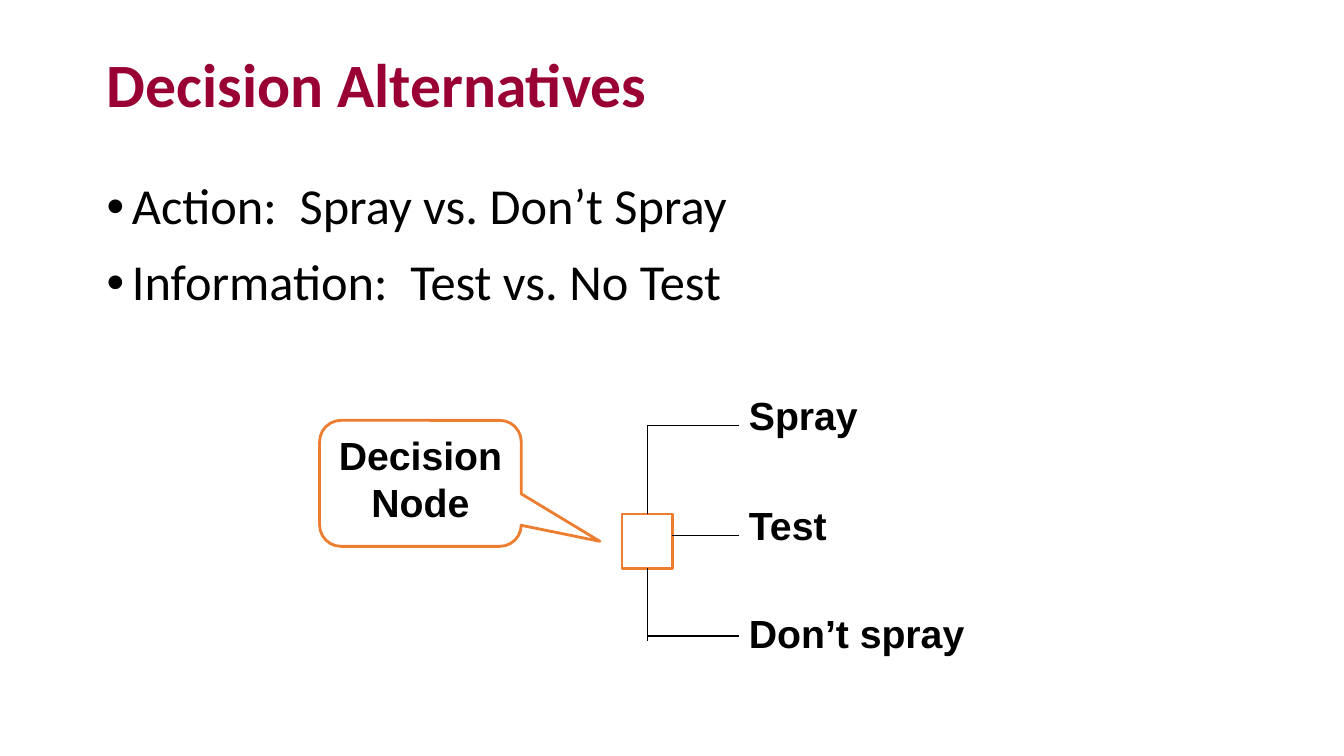
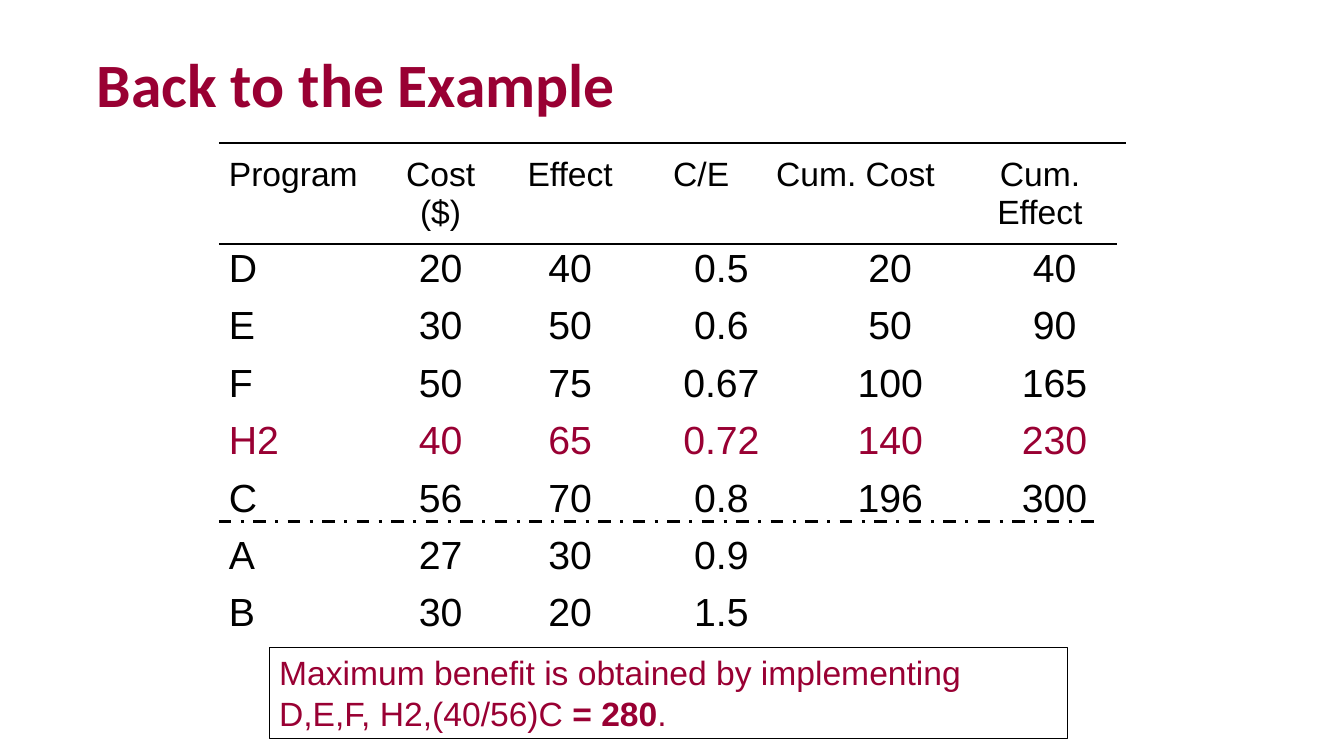
from dataclasses import dataclass

from lxml import etree
from pptx import Presentation
from pptx import util as u
from pptx.dml.color import RGBColor
from pptx.enum import dml, shapes, text
from pptx.oxml import ns

PX = 9144
PLAIN_TABLE = "{2D5ABB26-0587-4C30-8999-92F81FD0307C}"


@dataclass(frozen=True)
class Theme:
    accent: RGBColor = RGBColor(0x99, 0x00, 0x33)
    ink: RGBColor = RGBColor(0, 0, 0)
    paper: RGBColor = RGBColor(255, 255, 255)
    node: RGBColor = RGBColor(0xED, 0x7D, 0x31)
    heading_font: str = "Calibri"
    figure_font: str = "Arial"
    title: int = 44
    body: int = 36
    label: int = 28
    note: int = 24


THEME = Theme()
LEFT, CENTER = text.PP_ALIGN.LEFT, text.PP_ALIGN.CENTER


def px(*lengths):
    return [u.Emu(length * PX) for length in lengths]


def style(para, size, color=THEME.ink, name=THEME.figure_font, bold=False, align=LEFT):
    para.alignment = align
    para.font.size = u.Pt(size)
    para.font.name = name
    para.font.bold = bold
    para.font.color.rgb = color


def add_title(page, wording, box):
    title = page.shapes.title
    title.left, title.top, title.width, title.height = px(*box)
    frame = title.text_frame
    frame.text = wording
    frame.auto_size = text.MSO_AUTO_SIZE.NONE
    frame.vertical_anchor = text.MSO_ANCHOR.MIDDLE
    para = frame.paragraphs[0]
    para.line_spacing = 0.9
    style(para, THEME.title, THEME.accent, THEME.heading_font, bold=True)


def add_line(page, start, end, weight=1, dash=None):
    line = page.shapes.add_connector(shapes.MSO_CONNECTOR.STRAIGHT, *px(*start, *end))
    line.line.color.rgb = THEME.ink
    line.line.width = u.Pt(weight)
    if dash:
        line.line.dash_style = dash
    etree.SubElement(line._element.spPr, ns.qn("a:effectLst"))
    return line


def add_outline(page, kind, box, color, weight):
    shape = page.shapes.add_shape(kind, *px(*box))
    shape.shadow.inherit = False
    shape.fill.background()
    shape.line.color.rgb = color
    shape.line.width = u.Pt(weight)
    shape.text_frame.word_wrap = True
    shape.text_frame.vertical_anchor = text.MSO_ANCHOR.TOP
    return shape


def add_bullets(page, items, box):
    frame = page.shapes.add_textbox(*px(*box)).text_frame
    frame.word_wrap = True
    for index, item in enumerate(items):
        para = frame.add_paragraph() if index else frame.paragraphs[0]
        para.text = item
        para.line_spacing = 0.9
        para.space_before = u.Pt(10 if index else 0)
        para.space_after = u.Pt(5.4)
        properties = para._p.get_or_add_pPr()
        properties.set("marL", str(25 * PX))
        properties.set("indent", str(-25 * PX))
        etree.SubElement(properties, ns.qn("a:buFont")).set("typeface", "Arial")
        etree.SubElement(properties, ns.qn("a:buChar")).set("char", "•")
        style(para, THEME.body, name=THEME.heading_font)


def add_callout(page, wording, box):
    callout = add_outline(page, shapes.MSO_SHAPE.ROUNDED_RECTANGULAR_CALLOUT, box, THEME.node, 2)
    for index, value in enumerate((0.89, 0.46, 0.17)):
        callout.adjustments[index] = value
    callout.text_frame.text = wording
    style(callout.text_frame.paragraphs[0], THEME.label, bold=True, align=CENTER)


def add_decision_tree(page, box):
    left, top, width, height = box
    middle, right, branch_end = left + width // 2, left + width, left + 116
    node = add_outline(page, shapes.MSO_SHAPE.RECTANGLE, box, THEME.node, 2)
    node.fill.solid()
    node.fill.fore_color.rgb = THEME.paper
    for side, edge, end in ((0, top, top - 88), (2, top + height, top + 126)):
        add_line(page, (middle, edge), (middle, end)).begin_connect(node, side)
    branches = (("Spray", middle, -88, -127), ("Test", right, 21, -18),
                ("Don’t spray", middle, 121, 90))
    for wording, start, line_offset, label_offset in branches:
        level = top + line_offset
        add_line(page, (start, level), (branch_end, level))
        label = page.shapes.add_textbox(*px(branch_end, top + label_offset, 245, 57))
        label.text_frame.word_wrap = False
        label.text_frame.text = wording
        style(label.text_frame.paragraphs[0], THEME.label, bold=True)


HEADERS = ("Program", "Cost ($)", "Effect", "C/E", "Cum. Cost", "Cum. Effect")
PROGRAMS = (
    ("D", "20", "40", "0.5", "20", "40"),
    ("E", "30", "50", "0.6", "50", "90"),
    ("F", "50", "75", "0.67", "100", "165"),
    ("H2", "40", "65", "0.72", "140", "230"),
    ("C", "56", "70", "0.8", "196", "300"),
    ("A", "27", "30", "0.9", "", ""),
    ("B", "30", "20", "1.5", "", ""),
)
COLUMN_WIDTHS = (158, 124, 133, 127, 40, 139, 29, 158)
HEADER_STARTS = (0, 1, 2, 3, 4, 6)
PROGRAM_STARTS = (0, 1, 2, 3, 5, 7)


def fill_row(table, row, values, starts, size, color):
    ends = starts[1:] + (len(COLUMN_WIDTHS),)
    for value, start, end in zip(values, starts, ends):
        cell = table.cell(row, start)
        if end - start > 1:
            cell.merge(table.cell(row, end - 1))
        if value:
            cell.text = value
            style(cell.text_frame.paragraphs[0], size, color, align=CENTER if start else LEFT)


def add_program_table(page, left, top):
    header_height, row_height = 90, 57
    count = len(PROGRAMS)
    size = (sum(COLUMN_WIDTHS), header_height + count * row_height)
    table = page.shapes.add_table(count + 1, len(COLUMN_WIDTHS), *px(left, top, *size)).table
    table.first_row = table.horz_banding = False
    table._tbl.tblPr.find(ns.qn("a:tableStyleId")).text = PLAIN_TABLE
    for column, width in zip(table.columns, COLUMN_WIDTHS):
        column.width = u.Emu(width * PX)
    for index, row in enumerate(table.rows):
        row.height = u.Emu((row_height if index else header_height) * PX)
    for cell in table.iter_cells():
        cell.fill.background()
    fill_row(table, 0, HEADERS, HEADER_STARTS, THEME.note, THEME.ink)
    for index, values in enumerate(PROGRAMS, 1):
        color = THEME.accent if values[0] == "H2" else THEME.ink
        fill_row(table, index, values, PROGRAM_STARTS, THEME.label, color)
    rules = ((-8, 900, 1, None), (92, 891, 1, None),
             (367, 875, 2.25, dml.MSO_LINE.DASH_DOT))
    for offset, length, weight, dash in rules:
        level = top + offset
        add_line(page, (left, level), (left + length, level), weight, dash)


def add_note(page, parts, box):
    note = add_outline(page, shapes.MSO_SHAPE.RECTANGLE, box, THEME.ink, 0.75)
    para = note.text_frame.paragraphs[0]
    style(para, THEME.note, THEME.accent)
    for wording, bold in parts:
        span = para.add_run()
        span.text = wording
        span.font.bold = bold


def build_alternatives(page):
    add_title(page, "Decision Alternatives", (96, 33, 996, 107))
    add_bullets(page, ("Action:  Spray vs. Don’t Spray", "Information:  Test vs. No Test"),
                (96, 175, 996, 170))
    add_callout(page, "Decision Node", (317, 417, 200, 125))
    add_decision_tree(page, (617, 510, 50, 54))


def build_example(page):
    add_title(page, "Back to the Example", (86, 33, 1168, 108))
    add_program_table(page, 217, 150)
    add_note(page, (("Maximum benefit is obtained by implementing D,E,F, H2,(40/56)C ", False),
                    ("= 280", True), (".", False)), (267, 642, 792, 91))


def main():
    deck = Presentation()
    deck.slide_width, deck.slide_height = px(1333, 750)
    for build in (build_alternatives, build_example):
        build(deck.slides.add_slide(deck.slide_layouts[5]))
    deck.save("out.pptx")


if __name__ == "__main__":
    main()
